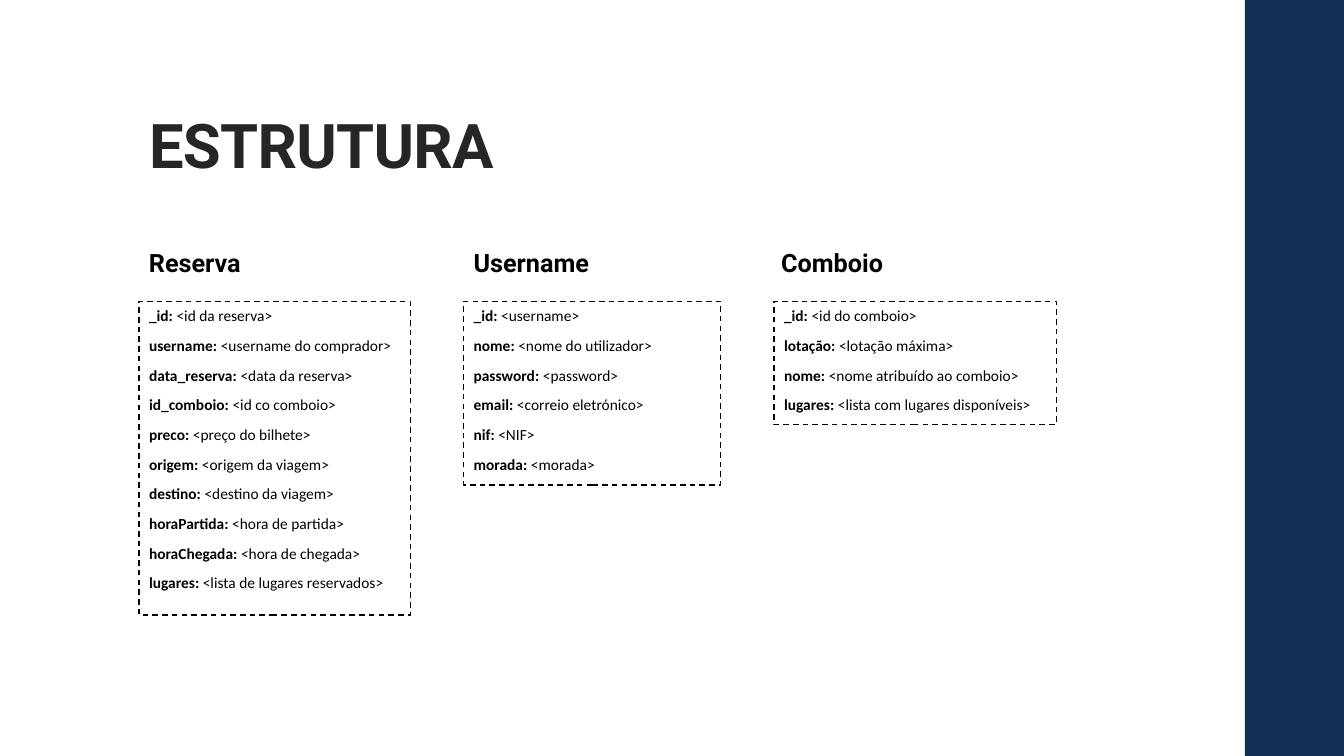
from pptx import Presentation
from pptx.dml.color import RGBColor
from pptx.enum.dml import MSO_LINE_DASH_STYLE as Dash
from pptx.enum.shapes import MSO_SHAPE as Shape
from pptx.enum.text import MSO_ANCHOR as Anchor, PP_ALIGN as Align
from pptx.util import Inches, Pt

SLIDE_WIDTH, SLIDE_HEIGHT = Inches(13.33), Inches(7.5)

# Lengths are percentages of the slide's width and height
LEFT_MARGIN = 10.35
HEADING_TOP, HEADING_HEIGHT = 32, 5.33
BOX_TOP = 39.87

# Collection: heading left and width, box left, width and height, fields
COLLECTIONS = [
    ("Reserva", LEFT_MARGIN, 8.85, LEFT_MARGIN, 20.18, 41.47, [
        ("_id", "id da reserva"),
        ("username", "username do comprador"),
        ("data_reserva", "data da reserva"),
        ("id_comboio", "id co comboio"),
        ("preco", "preço do bilhete"),
        ("origem", "origem da viagem"),
        ("destino", "destino da viagem"),
        ("horaPartida", "hora de partida"),
        ("horaChegada", "hora de chegada"),
        ("lugares", "lista de lugares reservados"),
    ]),
    ("Username", 34.5, 10.65, 34.5, 19.13, 24.27, [
        ("_id", "username"),
        ("nome", "nome do utilizador"),
        ("password", "password"),
        ("email", "correio eletrónico"),
        ("nif", "NIF"),
        ("morada", "morada"),
    ]),
    ("Comboio", 57.38, 9.75, 57.6, 21, 16.27, [
        ("_id", "id do comboio"),
        ("lotação", "lotação máxima"),
        ("nome", "nome atribuído ao comboio"),
        ("lugares", "lista com lugares disponíveis"),
    ]),
]


def color(hex_string):
    return RGBColor.from_string(hex_string)


def place(left, top, width, height):
    """Turn percentages of the slide into lengths."""
    return (int(SLIDE_WIDTH * left / 100), int(SLIDE_HEIGHT * top / 100),
            int(SLIDE_WIDTH * width / 100), int(SLIDE_HEIGHT * height / 100))


def style(paragraph, name, size, hex_string, bold=None):
    font = paragraph.font
    font.name, font.size, font.bold = name, Pt(size), bold
    font.color.rgb = color(hex_string)


def add_rectangle(slide, area, fill):
    shape = slide.shapes.add_shape(Shape.RECTANGLE, *place(*area))
    shape.shadow.inherit = False
    shape.fill.solid()
    shape.fill.fore_color.rgb = color(fill)
    shape.line.fill.background()
    return shape


def add_text(slide, area, text, size, hex_string, wrap):
    text_frame = slide.shapes.add_textbox(*place(*area)).text_frame
    text_frame.word_wrap = wrap
    paragraph = text_frame.paragraphs[0]
    paragraph.text = text
    style(paragraph, "Roboto", size, hex_string, True)
    return text_frame


def add_title(slide, text):
    area = (LEFT_MARGIN, 5.33, 79.5, 19.33)
    text_frame = add_text(slide, area, text, 44, "262626", True)
    text_frame.vertical_anchor = Anchor.BOTTOM
    paragraph = text_frame.paragraphs[0]
    paragraph.line_spacing = 0.9
    # Letter spacing in hundredths of a point
    paragraph.runs[0].font._element.set("spc", "-50")


def add_field_box(slide, area, fields):
    box = add_rectangle(slide, area, "FFFFFF")
    box.line.color.rgb = color("000000")
    box.line.width = Pt(1)
    box.line.dash_style = Dash.DASH
    text_frame = box.text_frame
    text_frame.word_wrap = True
    text_frame.vertical_anchor = Anchor.TOP
    for index, (field, value) in enumerate(fields):
        paragraph = text_frame.add_paragraph() if index else text_frame.paragraphs[0]
        paragraph.alignment = Align.LEFT
        paragraph.space_after = Pt(8)
        style(paragraph, "Calibri", 11, "000000")
        for text, bold in ((f"{field}: ", True), (f"<{value}>", False)):
            run = paragraph.add_run()
            run.text = text
            run.font.bold = bold


def main():
    presentation = Presentation()
    presentation.slide_width, presentation.slide_height = SLIDE_WIDTH, SLIDE_HEIGHT
    slide = presentation.slides.add_slide(presentation.slide_layouts[6])

    # Side band and title
    add_rectangle(slide, (92.63, 0, 7.37, 100), "113052")
    add_title(slide, "ESTRUTURA")

    # Collections with their fields
    for name, left, width, box_left, box_width, box_height, fields in COLLECTIONS:
        add_field_box(slide, (box_left, BOX_TOP, box_width, box_height), fields)
        heading_area = (left, HEADING_TOP, width, HEADING_HEIGHT)
        add_text(slide, heading_area, name, 18, "000000", False)

    presentation.save("out.pptx")


main()
